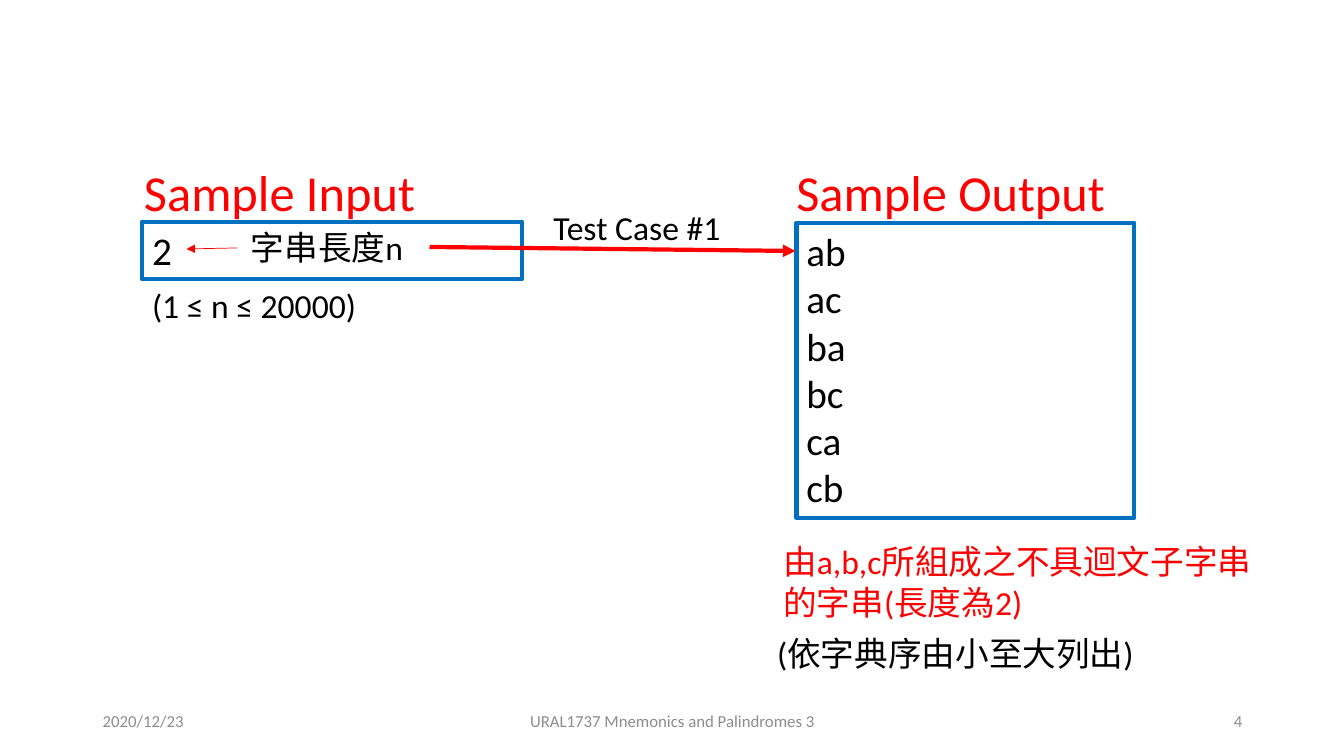
from lxml import etree
from pptx import Presentation
from pptx.dml.color import RGBColor
from pptx.enum.shapes import MSO_CONNECTOR, MSO_SHAPE
from pptx.enum.text import MSO_ANCHOR, MSO_AUTO_SIZE, PP_ALIGN
from pptx.oxml.ns import qn
from pptx.util import Inches, Pt

COLORS = {"red": "FF0000", "blue": "0070C0", "black": "000000", "gray": "8C8C8C"}
LATIN, EAST_ASIAN = "Calibri", "Noto Sans CJK SC"
WIDTH, HEIGHT = 13.33, 7.5


def color(name):
    return RGBColor.from_string(COLORS[name])


def write(shape, text, size, ink, align=PP_ALIGN.LEFT, anchor=MSO_ANCHOR.TOP, grow=True):
    frame = shape.text_frame
    frame.text = text
    frame.word_wrap = True
    frame.vertical_anchor = anchor
    frame.auto_size = MSO_AUTO_SIZE.SHAPE_TO_FIT_TEXT if grow else MSO_AUTO_SIZE.NONE
    for paragraph in frame.paragraphs:
        paragraph.alignment = align
        for run in paragraph.runs:
            run.font.size = Pt(size)
            run.font.name = LATIN
            run.font.color.rgb = color(ink)
            east_asian = etree.SubElement(run.font._element, qn("a:ea"))
            east_asian.set("typeface", EAST_ASIAN)


def add_label(slide, box, text, size, ink="black", **layout):
    label = slide.shapes.add_textbox(*map(Inches, box))
    write(label, text, size, ink, **layout)


def add_frame(slide, box, text):
    frame = slide.shapes.add_shape(MSO_SHAPE.RECTANGLE, *map(Inches, box))
    frame.shadow.inherit = False
    frame.fill.background()
    frame.line.color.rgb = color("blue")
    frame.line.width = Pt(3)
    write(frame, text, 28, "black")


def add_arrow(slide, start, end, weight):
    arrow = slide.shapes.add_connector(MSO_CONNECTOR.STRAIGHT, *map(Inches, start + end))
    arrow.line.color.rgb = color("red")
    arrow.line.width = Pt(weight)
    head = etree.SubElement(arrow.line._get_or_add_ln(), qn("a:tailEnd"))
    head.set("type", "triangle")
    etree.SubElement(arrow._element.spPr, qn("a:effectLst"))


def add_input(slide, left, top, width, height):
    add_label(slide, (left - 0.08, top - 0.65, 3.1, 0.71), "Sample Input", 36, "red")
    add_frame(slide, (left, top, width, height), "2")
    add_label(slide, (left + 0.98, top, 1.87, 0.5), "字串長度n", 24)
    add_arrow(slide, (left + 0.94, top + 0.26), (left + 0.44, top + 0.27), 0.5)
    add_label(slide, (left, top + height + 0.01, 2.24, 0.5), "(1 ≤ n ≤ 20000)", 24)


def add_output(slide, left, top, width, height):
    add_label(slide, (left - 0.1, top - 0.66, 3.4, 0.71), "Sample Output", 36, "red")
    add_frame(slide, (left, top, width, height), "ab\nac\nba\nbc\nca\ncb")
    bottom = top + height
    add_label(slide, (left - 0.23, bottom + 0.18, 4.96, 0.91),
              "由a,b,c所組成之不具迴文子字串的字串(長度為2)", 24, "red")
    add_label(slide, (left - 0.29, bottom + 1.09, 3.92, 0.5), "(依字典序由小至大列出)", 24)


def add_test_case(slide, left, top, width, height):
    add_arrow(slide, (left, top), (left + width, top + height), 3)
    add_label(slide, (left + 1.13, top - 0.45, 1.88, 0.5), "Test Case #1", 24)


def add_footer(slide, left, top, width, height):
    side, middle = 3, 4.5
    cells = [
        (left, side, "2020/12/23", PP_ALIGN.LEFT),
        (left + (width - middle) / 2, middle, "URAL1737 Mnemonics and Palindromes 3", PP_ALIGN.CENTER),
        (left + width - side, side, "4", PP_ALIGN.RIGHT),
    ]
    for cell_left, cell_width, text, align in cells:
        add_label(slide, (cell_left, top, cell_width, height), text, 12, "gray",
                  align=align, anchor=MSO_ANCHOR.MIDDLE, grow=False)


def main():
    deck = Presentation()
    deck.slide_width, deck.slide_height = Inches(WIDTH), Inches(HEIGHT)
    slide = deck.slides.add_slide(deck.slide_layouts[6])
    add_input(slide, 1.41, 2.2, 3.77, 0.57)
    add_output(slide, 7.9, 2.21, 3.35, 2.93)
    add_test_case(slide, 4.26, 2.45, 3.63, 0.04)
    add_footer(slide, 0.92, 6.95, 11.5, 0.4)
    deck.save("out.pptx")


if __name__ == "__main__":
    main()
